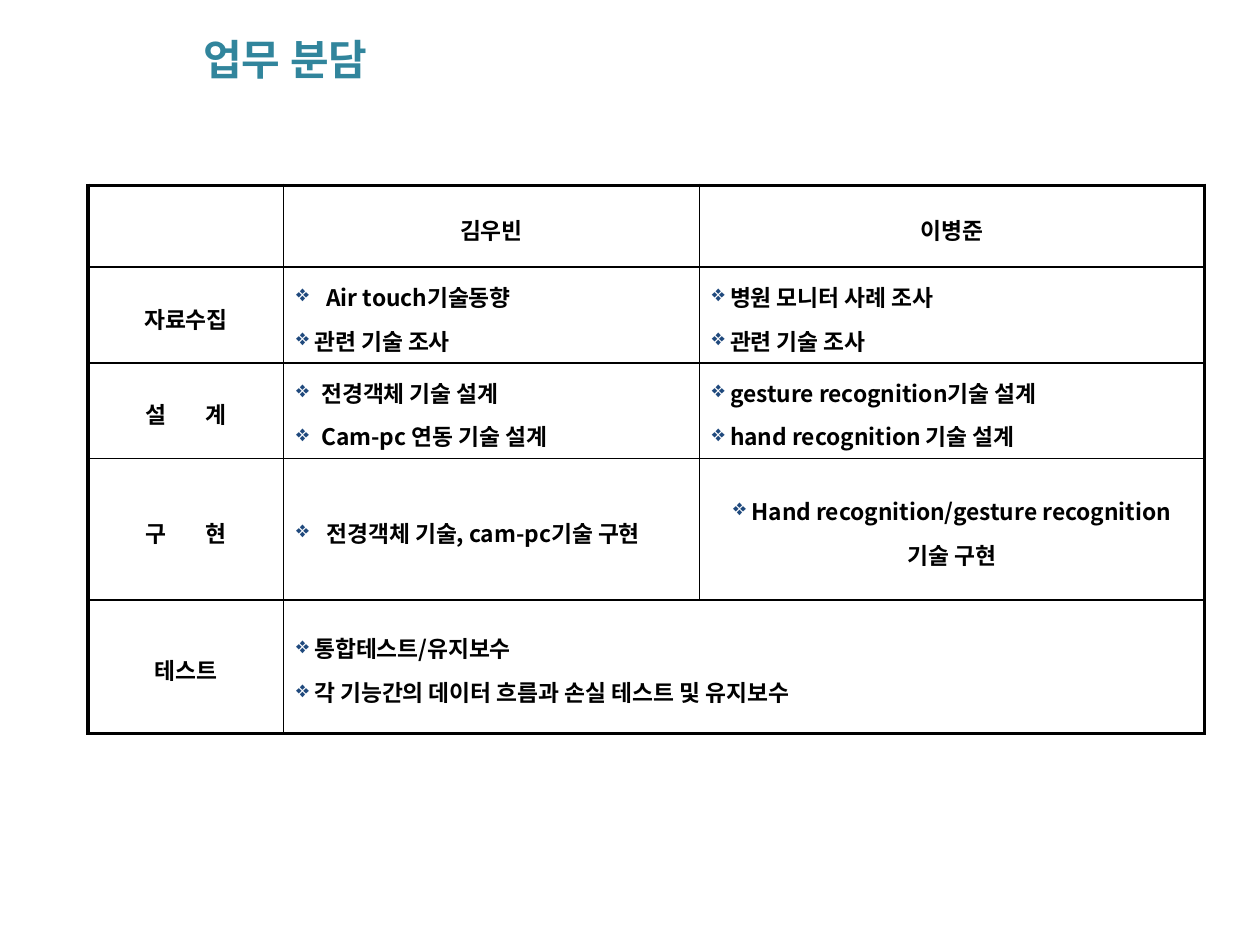
from lxml import etree
from pptx import Presentation
from pptx.dml.color import RGBColor
from pptx.enum.text import MSO_ANCHOR, PP_ALIGN
from pptx.oxml.ns import qn
from pptx.util import Inches, Pt

CENTER, LEFT = PP_ALIGN.CENTER, PP_ALIGN.LEFT
MIDDLE = MSO_ANCHOR.MIDDLE
FONT = "Noto Sans CJK KR"
COLORS = {"title": "31859C", "text": "000000", "line": "000000", "bullet": "1F497D"}
THIN, THICK = 1, 2.25
HANGING = 0.2
WIDE_GAP = 19

COLUMN_WIDTHS = [1.55, 3.3, 4.01]
ROW_HEIGHTS = [0.65, 0.67, 0.67, 1.12, 1.06]
MEMBERS = ["김우빈", "이병준"]
STAGES = ["자료수집", "설 계", "구 현", "테스트"]

# Bulleted lines by (row, column), each with its hanging indent.
TASKS = {
    (1, 1): [(" Air touch기술동향", HANGING), (" 관련 기술 조사", 0)],
    (1, 2): [(" 병원 모니터 사례 조사", 0), (" 관련 기술 조사", 0)],
    (2, 1): [("전경객체 기술 설계", HANGING), ("Cam-pc 연동 기술 설계", HANGING)],
    (2, 2): [(" gesture recognition기술 설계", 0), (" hand recognition 기술 설계", 0)],
    (3, 1): [(" 전경객체 기술, cam-pc기술 구현", HANGING)],
    (4, 1): [(" 통합테스트/유지보수", 0),
             (" 각 기능간의 데이터 흐름과 손실 테스트 및 유지보수", 0)],
}


def style_span(span, size, color):
    span.font.name = FONT
    span.font.size = Pt(size)
    span.font.bold = True
    span.font.color.rgb = RGBColor.from_string(COLORS[color])
    props = span._r.get_or_add_rPr()
    etree.SubElement(props, qn("a:ea")).set("typeface", FONT)


def style_para(para, align):
    para.alignment = align
    para.line_spacing = 1.2
    para.space_before = Pt(2.6)
    for span in para.runs:
        style_span(span, 13, "text")


def add_bullet(para, indent=0):
    props = para._p.get_or_add_pPr()
    props.set("marL", str(Inches(indent)))
    props.set("indent", str(-Inches(indent)))
    color = etree.SubElement(props, qn("a:buClr"))
    etree.SubElement(color, qn("a:srgbClr")).set("val", COLORS["bullet"])
    etree.SubElement(props, qn("a:buChar")).set("char", "❖")


def write_cell(cell, lines, align=CENTER):
    cell.text_frame.text = "\n".join(lines)
    for para in cell.text_frame.paragraphs:
        style_para(para, align)


def write_stage(cell, label):
    """Write a row label; the space in a two-syllable word is widened."""
    para = cell.text_frame.paragraphs[0]
    for part in filter(None, label.partition(" ")):
        span = para.add_run()
        span.text = part
        if part == " ":
            span._r.get_or_add_rPr().set("spc", str(WIDE_GAP * 100))
    style_para(para, CENTER)


def write_tasks(cell, tasks):
    write_cell(cell, [text for text, _ in tasks], LEFT)
    for para, (_, indent) in zip(cell.text_frame.paragraphs, tasks):
        add_bullet(para, indent)


def set_borders(cell, widths):
    props = cell._tc.get_or_add_tcPr()
    for side, width in widths.items():
        line = etree.SubElement(props, qn(f"a:ln{side}"), w=str(Pt(width)))
        fill = etree.SubElement(line, qn("a:solidFill"))
        etree.SubElement(fill, qn("a:srgbClr")).set("val", COLORS["line"])


def frame_table(table):
    """Thick lines around the table, thin ones inside it."""
    last_row, last_column = len(ROW_HEIGHTS) - 1, len(COLUMN_WIDTHS) - 1
    for row in range(last_row + 1):
        for column in range(last_column + 1):
            cell = table.cell(row, column)
            right = column + (cell.span_width - 1 if cell.is_merge_origin else 0)
            outer = {"L": column == 0, "R": right == last_column,
                     "T": row == 0, "B": row == last_row}
            set_borders(cell, {side: THICK if edge else THIN
                               for side, edge in outer.items()})
            cell.fill.background()
            cell.vertical_anchor = MIDDLE


def add_title(page, text):
    box = page.shapes.add_textbox(Inches(0.31), Inches(0.23), Inches(3.91), Inches(0.47))
    frame = box.text_frame
    frame.word_wrap = True
    frame.vertical_anchor = MIDDLE
    frame.text = text
    para = frame.paragraphs[0]
    para.alignment = CENTER
    style_span(para.runs[0], 24, "title")


def add_task_table(page):
    table = page.shapes.add_table(
        len(ROW_HEIGHTS), len(COLUMN_WIDTHS), Inches(0.7), Inches(1.47),
        Inches(sum(COLUMN_WIDTHS)), Inches(sum(ROW_HEIGHTS))).table
    table.first_row = table.horz_banding = False
    for column, width in zip(table.columns, COLUMN_WIDTHS):
        column.width = Inches(width)
    for row, height in zip(table.rows, ROW_HEIGHTS):
        row.height = Inches(height)
    table.cell(4, 1).merge(table.cell(4, 2))
    frame_table(table)

    for column, member in enumerate(MEMBERS, 1):
        write_cell(table.cell(0, column), [member])
    for row, stage in enumerate(STAGES, 1):
        write_stage(table.cell(row, 0), stage)
    for position, tasks in TASKS.items():
        write_tasks(table.cell(*position), tasks)
    recognition = table.cell(3, 2)
    write_cell(recognition, [" Hand recognition/gesture recognition", "기술 구현"])
    add_bullet(recognition.text_frame.paragraphs[0])


def main():
    deck = Presentation()
    deck.slide_width, deck.slide_height = Inches(10), Inches(7.5)
    page = deck.slides.add_slide(deck.slide_layouts[6])
    add_task_table(page)
    add_title(page, "업무 분담")
    deck.save("out.pptx")


if __name__ == "__main__":
    main()
